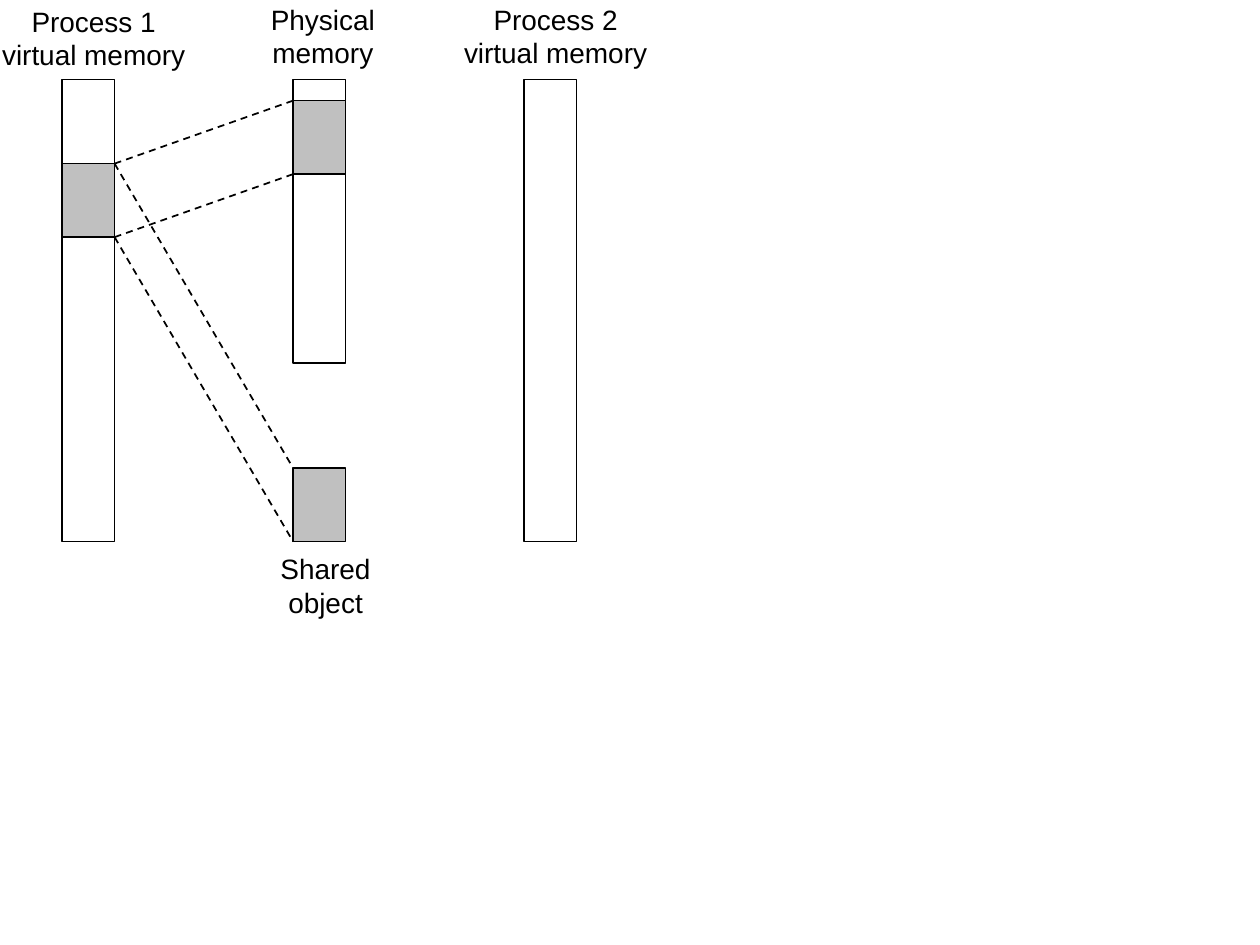
from lxml.etree import SubElement
from pptx import Presentation
from pptx.dml.color import RGBColor
from pptx.enum.dml import MSO_LINE_DASH_STYLE as Dash
from pptx.enum.shapes import MSO_CONNECTOR as Connector, MSO_SHAPE as Shape
from pptx.enum.text import MSO_ANCHOR as Anchor, MSO_AUTO_SIZE as AutoSize, PP_ALIGN as Align
from pptx.oxml.ns import qn
from pptx.util import Pt

COLORS = {"ink": "000000", "mapped": "C0C0C0"}
LEFT, TOP, PITCH, WIDTH = 35.5, 45.5, 132, 30
VIRTUAL_HEIGHT, PHYSICAL_HEIGHT, MAPPED_HEIGHT = 264, 162, 42
LABEL_HEIGHT = 46


def color(name):
    return RGBColor.from_string(COLORS[name])


def add_block(page, box, fill=None):
    left, top, width, height = box
    block = page.shapes.add_shape(Shape.RECTANGLE, Pt(left), Pt(top), Pt(width), Pt(height))
    block.shadow.inherit = False
    if fill:
        block.fill.solid()
        block.fill.fore_color.rgb = color(fill)
    else:
        block.fill.background()
    block.line.color.rgb = color("ink")
    block.line.width = Pt(1)


def add_label(page, box, text):
    left, top, width, height = box
    label = page.shapes.add_textbox(Pt(left), Pt(top), Pt(width), Pt(height))
    frame = label.text_frame
    frame.text = text
    frame.word_wrap = False
    frame.auto_size = AutoSize.SHAPE_TO_FIT_TEXT
    frame.vertical_anchor = Anchor.MIDDLE
    for para in frame.paragraphs:
        para.alignment = Align.CENTER
        for span in para.runs:
            span.font.name = "Arial"
            span.font.size = Pt(16)
            span.font.color.rgb = color("ink")


def add_mapping(page, source, target):
    """Join the right corners of one block to the left corners of another."""
    for offset in (0, MAPPED_HEIGHT):
        line = page.shapes.add_connector(
            Connector.STRAIGHT,
            Pt(source[0] + source[2]), Pt(source[1] + offset),
            Pt(target[0]), Pt(target[1] + offset))
        line.line.color.rgb = color("ink")
        line.line.width = Pt(1)
        line.line.dash_style = Dash.DASH
        SubElement(line._element.spPr, qn("a:effectLst"))


def add_memory_map(page, box):
    left, top, width, height = box
    process1, physical, process2 = (left + PITCH * i for i in range(3))

    # Memory columns
    for x, column_height in ((process1, height), (physical, PHYSICAL_HEIGHT), (process2, height)):
        add_block(page, (x, top, width, column_height))

    # Mapped regions and the shared object
    mapped1, resident, shared = (
        (x, top + offset, width, MAPPED_HEIGHT)
        for x, offset in ((process1, 48), (physical, 12), (physical, height - MAPPED_HEIGHT)))
    for region in (mapped1, resident, shared):
        add_block(page, region, "mapped")
    for target in (resident, shared):
        add_mapping(page, mapped1, target)

    # Labels: text, centre, top, width
    middle = width / 2
    for text, centre, label_top, label_width in (
            ("Process 1\nvirtual memory", process1 + middle + 3, top - 47, 120),
            ("Physical\nmemory", physical + middle + 2, top - 48, 76),
            ("Process 2\nvirtual memory", process2 + middle + 3, top - 48, 120),
            ("Shared\nobject", physical + middle + 3.5, top + height + 2, 68)):
        add_label(page, (centre - label_width / 2, label_top, label_width, LABEL_HEIGHT), text)


def main():
    deck = Presentation()
    deck.slide_width, deck.slide_height = Pt(720), Pt(540)
    page = deck.slides.add_slide(deck.slide_layouts[6])
    add_memory_map(page, (LEFT, TOP, WIDTH, VIRTUAL_HEIGHT))
    deck.save("out.pptx")


if __name__ == "__main__":
    main()
